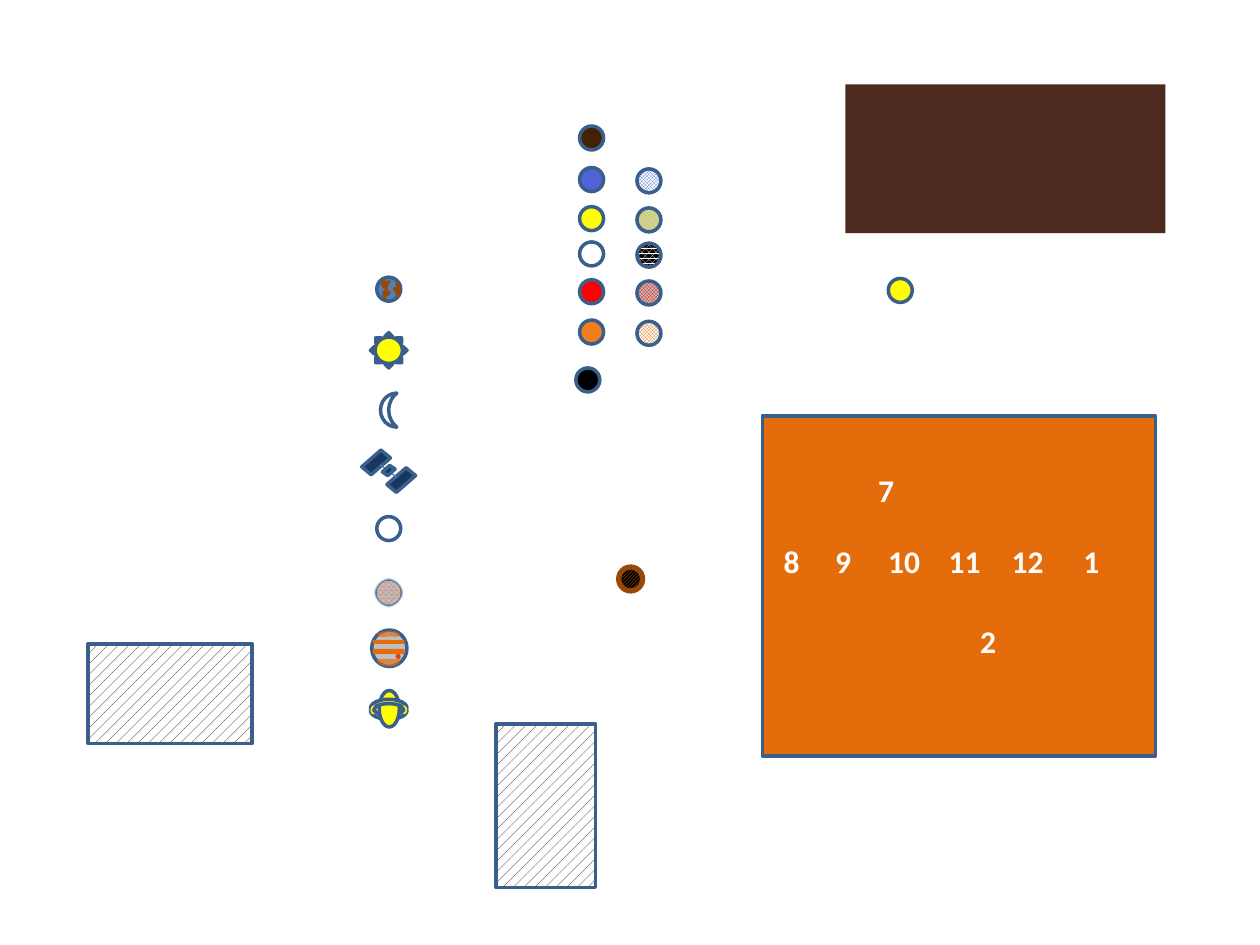
"""Builds a slide of planet symbols, coloured tokens and a numbered board."""
from lxml.etree import SubElement
from pptx import Presentation
from pptx.dml.color import RGBColor
from pptx.enum.dml import MSO_PATTERN
from pptx.enum.shapes import MSO_CONNECTOR, MSO_SHAPE
from pptx.enum.text import MSO_AUTO_SIZE
from pptx.oxml.ns import qn
from pptx.util import Inches, Pt

COLORS = {
    "outline": "3A5F8C", "yellow": "FFFF00", "white": "FFFFFF", "black": "000000",
    "sea": "4F81BD", "land": "984807", "navy": "17375E", "strut": "4B7EBC",
    "silver": "BFBFBF", "orange": "E46C0A", "amber": "E06B0A", "spot": "E73F0B",
    "rust": "F24B1E", "tangerine": "F37E1D", "red": "FF0000", "umber": "452103",
    "violet": "5363D7", "blue": "5275D8", "ink": "0D0D0D", "cocoa": "4E2A1E",
}
CHECKER = MSO_PATTERN.SMALL_CHECKER_BOARD
HATCH = (MSO_PATTERN.DASHED_UPWARD_DIAGONAL, "ink", "white")
TOKEN = 0.19
AXIS = 3.085

CONTINENTS = [
    [(304, 222), (305, 222), (306, 223), (308, 223), (309, 222), (310, 223), (310, 225),
     (309, 225), (308, 227), (308, 229), (309, 230), (307, 229), (308, 231), (310, 231),
     (310, 333 - 100), (309, 234), (308, 235), (307, 235), (306, 239), (305, 238),
     (305, 236), (304, 236), (303, 234), (304, 233), (303, 232), (305, 230), (305, 229),
     (304, 229), (303, 227), (302, 226), (303, 224)],
    [(315, 222), (316, 224), (317, 226), (318, 229), (318, 231), (317, 234), (316, 236),
     (314, 236), (314, 233), (313, 231), (312, 230), (312, 228), (315, 228), (314, 227),
     (314, 223)],
]
SOLID_TOKENS = [(1.0, "umber"), (1.33, "violet"), (1.64, "yellow"), (1.92, "white"),
                (2.22, "red"), (2.54, "tangerine")]
PATTERN_TOKENS = [
    (1.34, (CHECKER, "blue", "white")), (1.65, (CHECKER, "yellow", "silver")),
    (1.93, (MSO_PATTERN.PERCENT_75, "white", "black")),
    (2.23, (CHECKER, "red", "silver")), (2.55, (CHECKER, "amber", "white")),
]
BOARD_NUMBERS = [
    (3.69, [("7", 6.87)]),
    (4.25, [("8", 6.12), ("9", 6.53), ("10", 6.95), ("11", 7.43), ("12", 7.93), ("1", 8.5)]),
    (4.89, [("2", 7.68)]),
]

deck = Presentation()
deck.slide_width, deck.slide_height = Inches(10), Inches(7.5)
slide = deck.slides.add_slide(deck.slide_layouts[6])
canvas = slide.shapes


def rgb(name):
    return RGBColor.from_string(COLORS[name])


def paint(shape, fill, line="outline", width=2):
    shape.shadow.inherit = False
    if isinstance(fill, tuple):
        pattern, front, back = fill
        shape.fill.patterned()
        shape.fill.pattern = pattern
        shape.fill.fore_color.rgb, shape.fill.back_color.rgb = rgb(front), rgb(back)
    else:
        shape.fill.solid()
        shape.fill.fore_color.rgb = rgb(fill)
    if line:
        shape.line.color.rgb, shape.line.width = rgb(line), Pt(width)
    else:
        shape.line.fill.background()


def draw(home, kind, box, fill, line="outline", width=2, turn=0, flip=None, adjust=()):
    shape = home.add_shape(getattr(MSO_SHAPE, kind), *map(Inches, box))
    paint(shape, fill, line, width)
    shape.rotation = turn
    for index, value in enumerate(adjust):
        shape.adjustments[index] = value
    if flip:
        shape._element.spPr.find(qn("a:xfrm")).set(flip, "1")
    return shape


def token(home, left, top, fill, **style):
    return draw(home, "OVAL", (left, top, TOKEN, TOKEN), fill, **style)


def group():
    return canvas.add_group_shape().shapes


draw(canvas, "SUN", (2.94, 2.64, 0.29, 0.28), "yellow", adjust=[0.125])
draw(canvas, "MOON", (3.02, 3.12, 0.13, 0.27), "white")

earth = group()
token(earth, 2.99, 2.2, "sea")
for start, *coast in CONTINENTS:
    outline = earth.build_freeform(*start, scale=Inches(0.01))
    outline.add_line_segments(coast, close=True)
    paint(outline.convert_to_shape(), "land", None)

saturn = group()
draw(saturn, "BLOCK_ARC", (2.94, 5.57, 0.29, 0.14), "yellow", flip="flipV")
draw(saturn, "OVAL", (3.01, 5.48, 0.16, 0.29), "yellow")
draw(saturn, "BLOCK_ARC", (2.94, 5.55, 0.29, 0.14), "yellow")
for left, turn, flip in [(3.17, 90, None), (2.93, 270, "flipH")]:
    draw(saturn, "BLOCK_ARC", (left, 5.61, 0.07, 0.05), "yellow", None,
         turn=turn, flip=flip, adjust=[107.18, 0, 0.25])

pluto = draw(canvas, "OVAL", (2.98, 4.6, 0.21, 0.21),
             (MSO_PATTERN.PERCENT_80, "rust", "silver"))
SubElement(pluto._element.spPr.find(qn("a:effectLst")), qn("a:softEdge"), rad="12700")
token(canvas, 2.99, 4.1, "white")

satellite = group()
for left, top in [(2.92, 3.57), (3.12, 3.71)]:
    draw(satellite, "PARALLELOGRAM", (left, top, 0.13, 0.2), "navy", turn=39.7)
strut = satellite.add_connector(MSO_CONNECTOR.STRAIGHT, *map(Inches, (3.02, 3.69, 3.15, 3.79)))
strut.line.color.rgb, strut.line.width = rgb("strut"), Pt(0.75)
SubElement(strut._element.spPr, qn("a:effectLst"))
draw(satellite, "PARALLELOGRAM", (3.04, 3.71, 0.09, 0.05), "navy", turn=318.6, flip="flipV")

jupiter = group()
draw(jupiter, "OVAL", (2.95, 5, 0.28, 0.29), "silver")
draw(jupiter, "OVAL", (3.14, 5.19, 0.04, 0.04), "spot", None)
for top, height in [(5.08, 0.03), (5.15, 0.04)]:
    draw(jupiter, "ROUNDED_RECTANGLE", (AXIS - 0.125, top, 0.25, height), "orange", None)
for top, height, flip in [(5.01, 0.06, None), (5.2, 0.09, "flipV")]:
    cap = draw(jupiter, "CHORD", (AXIS - 0.09, top, 0.18, height), "amber", None,
               flip=flip, adjust=[101.08, 5.29])
    tint = cap._element.spPr.find(qn("a:solidFill")).find(qn("a:srgbClr"))
    SubElement(tint, qn("a:alpha"), val="66000")

for column, tokens in [(4.6, SOLID_TOKENS), (5.055, PATTERN_TOKENS)]:
    for top, fill in tokens:
        token(canvas, column, top, fill)
token(canvas, 7.05, 2.21, "yellow")
token(canvas, 4.57, 2.92, "black")
token(canvas, 4.91, 4.5, (MSO_PATTERN.LIGHT_UPWARD_DIAGONAL, "orange", "black"),
      line="land", width=3)

draw(canvas, "RECTANGLE", (6.05, 3.3, 3.12, 2.7), "orange")
for top, numbers in BOARD_NUMBERS:
    for number, left in numbers:
        label = canvas.add_textbox(Inches(left), Inches(top),
                                   Inches(0.21 + 0.14 * len(number)), Inches(0.4))
        label.text_frame.text = number
        label.text_frame.word_wrap = False
        label.text_frame.auto_size = MSO_AUTO_SIZE.SHAPE_TO_FIT_TEXT
        font = label.text_frame.paragraphs[0].runs[0].font
        font.name, font.size, font.bold = "Calibri", Pt(18), True
        font.color.rgb = rgb("white")

for left, top, turn in [(0.7, 5.11, 0), (3.68, 6, 90)]:
    draw(canvas, "RECTANGLE", (left, top, 1.3, 0.79), HATCH, turn=turn)
draw(canvas, "RECTANGLE", (6.71, 0.67, 2.54, 1.18), "cocoa", None)

deck.save("out.pptx")
